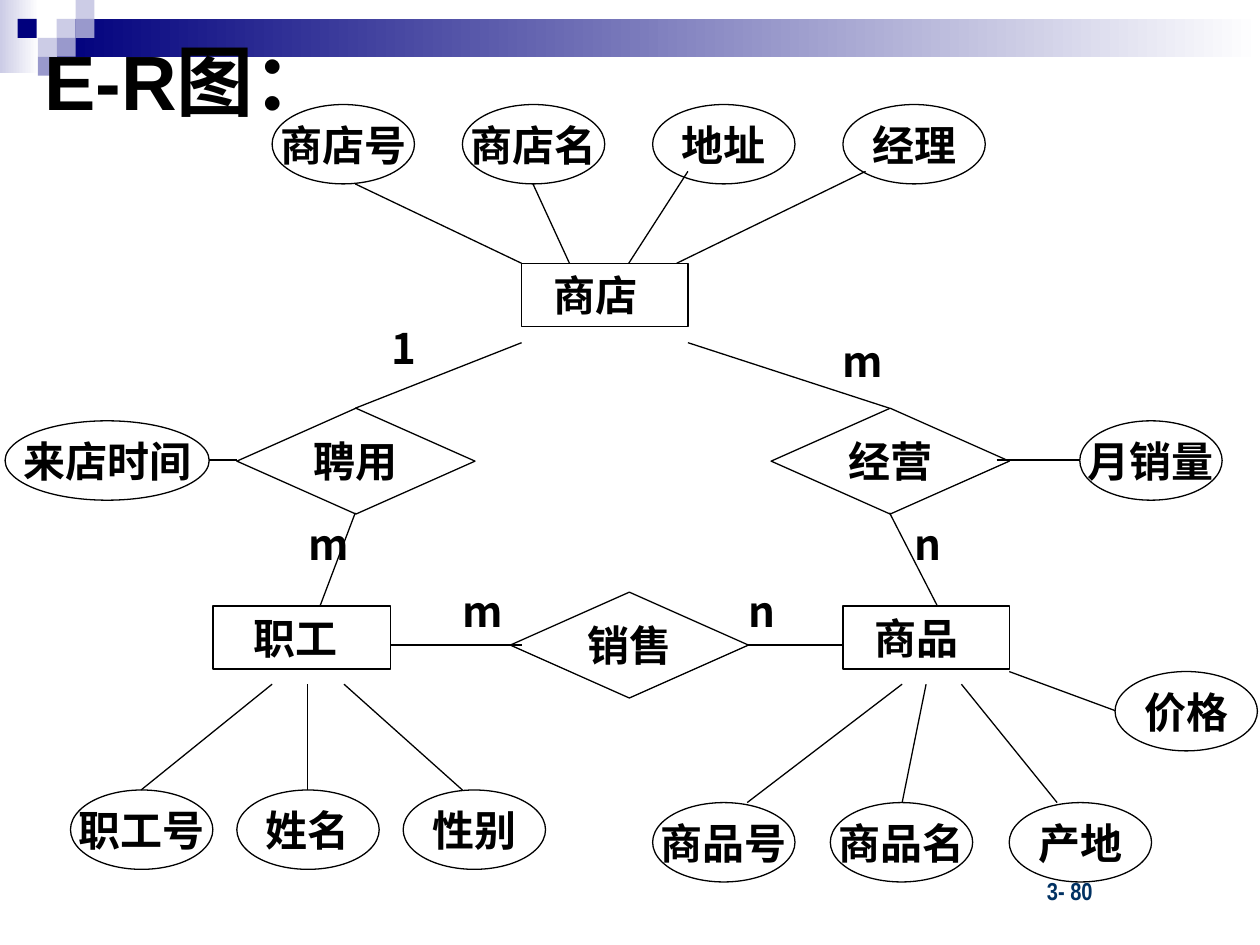
from lxml.etree import SubElement
from pptx import Presentation
from pptx.dml.color import RGBColor
from pptx.enum.shapes import MSO_CONNECTOR, MSO_SHAPE
from pptx.enum.text import MSO_ANCHOR, PP_ALIGN
from pptx.oxml.ns import qn
from pptx.util import Inches, Pt

BLACK = RGBColor(0, 0, 0)
WHITE = RGBColor(255, 255, 255)
NAVY = RGBColor(0x00, 0x00, 0x7D)
PALE = RGBColor(0xCC, 0xCC, 0xE6)
LILAC = RGBColor(0x99, 0x99, 0xCC)
TEAL = RGBColor(0x00, 0x31, 0x62)
CJK = "Noto Sans CJK SC"

TILES = [
    (0.45, 0.15, PALE), (0.6, 0, PALE), (0.6, 0.15, LILAC), (0.3, 0.3, PALE),
    (0.14, 0.15, NAVY), (0.45, 0.3, LILAC), (0.3, 0.45, LILAC),
]
# Entity: text, left, top, width, left inset
ENTITIES = [
    ("商店", 4.14, 2.09, 1.32, 0.25),
    ("商品", 6.69, 4.81, 1.32, 0.25),
    ("职工", 1.69, 4.81, 1.41, 0.32),
]
RELATIONS = [("聘用", 1.88, 3.24), ("经营", 6.12, 3.24), ("销售", 4.05, 4.7)]
# Attribute rows: top, then text and left of each
ATTRIBUTES = [
    (0.83, [("商店号", 2.16), ("商店名", 3.67), ("地址", 5.18), ("经理", 6.69)]),
    (3.34, [("月销量", 8.57)]),
    (5.33, [("价格", 8.85)]),
    (6.27, [("职工号", 0.56), ("姓名", 1.88), ("性别", 3.2)]),
    (6.37, [("商品号", 5.18), ("商品名", 6.59), ("产地", 8.01)]),
]
LINKS = [
    # entities to relations
    (4.14, 2.72, 2.82, 3.24), (5.46, 2.72, 7.06, 3.24),
    (2.82, 4.07, 2.54, 4.81), (7.06, 4.07, 7.44, 4.81),
    (3.1, 5.12, 4.14, 5.12), (5.93, 5.12, 6.69, 5.12),
    # staff attributes
    (2.16, 5.43, 1.12, 6.27), (2.44, 5.43, 2.44, 6.27), (2.73, 5.43, 3.67, 6.27),
    # goods attributes
    (7.16, 5.43, 5.93, 6.37), (7.35, 5.43, 7.16, 6.37),
    (7.63, 5.43, 8.39, 6.37), (8.01, 5.33, 8.85, 5.64),
    # shop attributes
    (2.82, 1.46, 4.14, 2.09), (4.23, 1.46, 4.52, 2.09),
    (5.46, 1.36, 4.99, 2.09), (6.87, 1.36, 5.37, 2.09),
    # relation attributes
    (7.91, 3.65, 8.57, 3.65), (1.88, 3.65, 1.66, 3.65),
]
COUNTS = [
    ("1", 3.01, 2.51), ("m", 6.59, 2.61), ("m", 2.35, 4.07),
    ("n", 7.16, 4.07), ("m", 3.57, 4.6), ("n", 5.84, 4.6),
]


def write(shape, text, size=24, font=CJK, color=BLACK, align=PP_ALIGN.LEFT,
          anchor=MSO_ANCHOR.TOP, wrap=True, inset=0.1):
    frame = shape.text_frame
    frame.word_wrap = wrap
    frame.vertical_anchor = anchor
    frame.margin_left = Inches(inset)
    para = frame.paragraphs[0]
    para.alignment = align
    run = para.add_run()
    run.text = text
    run.font.size = Pt(size)
    run.font.bold = True
    run.font.name = font
    run.font.color.rgb = color
    SubElement(run.font._element, qn("a:ea"), typeface=CJK)


def add_shape(slide, kind, x, y, w, h):
    shape = slide.shapes.add_shape(
        kind, Inches(x), Inches(y), Inches(w), Inches(h))
    shape.shadow.inherit = False
    return shape


def add_tile(slide, x, y, w, h, color, fade=False):
    """Borderless block, solid or fading to white on the right."""
    tile = add_shape(slide, MSO_SHAPE.RECTANGLE, x, y, w, h)
    tile.line.fill.background()
    if fade:
        tile.fill.gradient()
        tile.fill.gradient_angle = 0
        for stop, tint in zip(tile.fill.gradient_stops, (color, WHITE)):
            stop.color.rgb = tint
    else:
        tile.fill.solid()
        tile.fill.fore_color.rgb = color


def add_node(slide, kind, text, x, y, w, h, **style):
    node = add_shape(slide, kind, x, y, w, h)
    node.fill.background()
    node.line.color.rgb = BLACK
    node.line.width = Pt(0.75)
    write(node, text, **style)


def add_link(slide, *ends):
    link = slide.shapes.add_connector(
        MSO_CONNECTOR.STRAIGHT, *(Inches(end) for end in ends))
    link.line.color.rgb = BLACK
    link.line.width = Pt(0.75)
    SubElement(link._element.spPr, qn("a:effectLst"))


def add_label(slide, text, x, y, w, h, **style):
    box = slide.shapes.add_textbox(Inches(x), Inches(y), Inches(w), Inches(h))
    write(box, text, **style)


def add_title(slide, text):
    title = slide.shapes.title
    title.left, title.top = Inches(0.25), Inches(0.17)
    title.width, title.height = Inches(2.83), Inches(0.92)
    write(title, text, size=44, font="Arial", anchor=MSO_ANCHOR.MIDDLE)
    slide.shapes._spTree.append(title._element)  # in front of the banner


def add_banner(slide):
    add_tile(slide, 0, 0, 0.31, 0.58, PALE, fade=True)
    add_tile(slide, 0.45, 0.15, 9.55, 0.3, NAVY, fade=True)
    for x, y, color in TILES:
        add_tile(slide, x, y, 0.15, 0.15, color)


def add_diagram(slide):
    middle = dict(align=PP_ALIGN.CENTER, anchor=MSO_ANCHOR.MIDDLE, wrap=False)
    for text, x, y, w, inset in ENTITIES:
        add_node(slide, MSO_SHAPE.RECTANGLE, text, x, y, w, 0.5, inset=inset)
    for text, x, y in RELATIONS:
        add_node(slide, MSO_SHAPE.DIAMOND, text, x, y, 1.89, 0.84, **middle)
    for y, row in ATTRIBUTES:
        for text, x in row:
            add_node(slide, MSO_SHAPE.OVAL, text, x, y, 1.13, 0.63, **middle)
    # four characters need a wider oval
    add_node(slide, MSO_SHAPE.OVAL, "来店时间", 0.04, 3.34, 1.62, 0.63, **middle)
    for ends in LINKS:
        add_link(slide, *ends)
    for text, x, y in COUNTS:
        add_label(slide, text, x, y, 0.47, 0.5)


def main():
    deck = Presentation()
    deck.slide_width, deck.slide_height = Inches(10), Inches(7.5)
    slide = deck.slides.add_slide(deck.slide_layouts[5])
    add_banner(slide)
    add_label(slide, "3- 80", 8.21, 6.9, 1.15, 0.33,
              size=14, font="Arial Narrow", color=TEAL)
    add_title(slide, "E-R图：")
    add_diagram(slide)
    deck.save("out.pptx")


if __name__ == "__main__":
    main()
